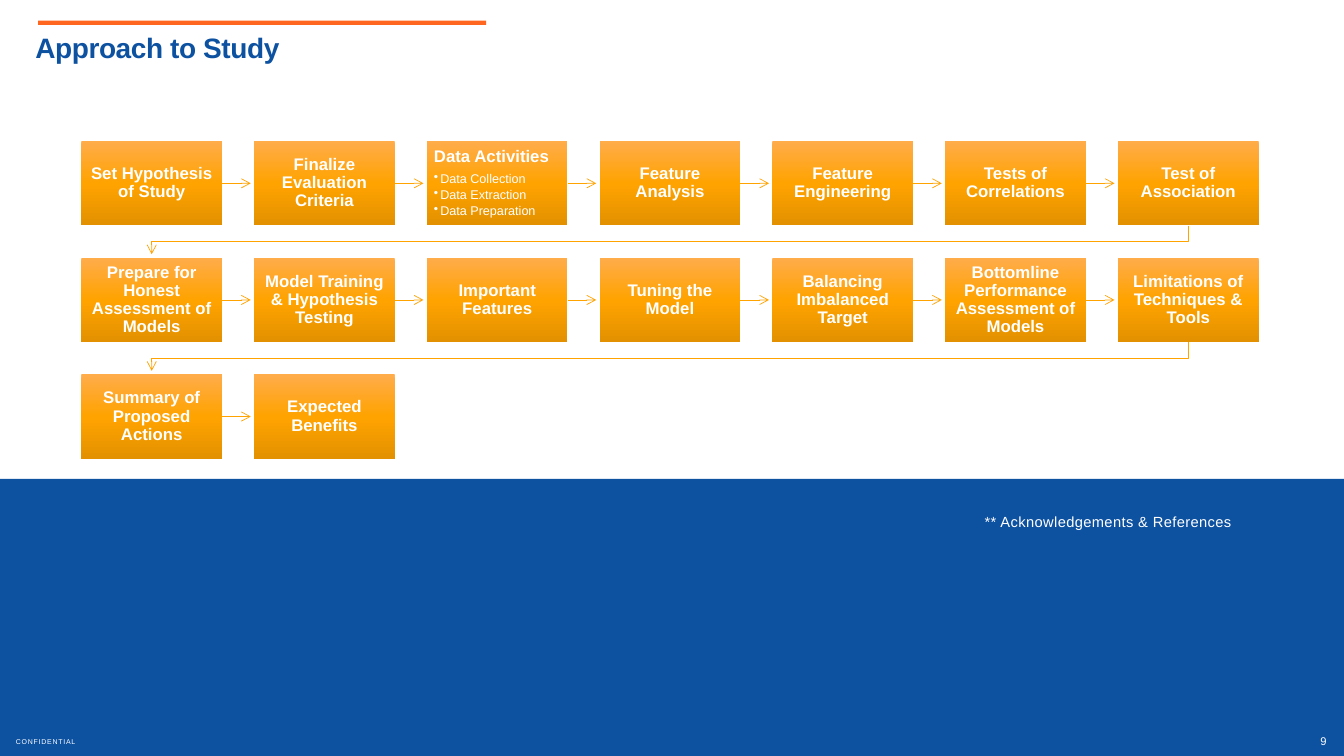
from copy import deepcopy
from dataclasses import dataclass

from lxml import etree
from pptx import Presentation
from pptx.dml.color import RGBColor
from pptx.enum import shapes, text
from pptx.oxml import ns
from pptx.util import Pt

WHITE = RGBColor(0xFF, 0xFF, 0xFF)
BLUE = RGBColor(0x0D, 0x51, 0xA1)
ACCENT = RGBColor(0xFF, 0x67, 0x20)
AMBER = RGBColor(0xFF, 0xA3, 0x00)
GRADIENT = (
    (0, RGBColor(0xFF, 0xAC, 0x4B)),
    (0.5, AMBER),
    (1, RGBColor(0xE3, 0x91, 0x00)),
)

PAGE_WIDTH, PAGE_HEIGHT = 960, 540
COLUMNS = 7
GRID_LEFT, GRID_TOP = 58.2, 100.8
COLUMN_PITCH, ROW_PITCH = 123.4, 83.3
STEP_WIDTH, STEP_HEIGHT = 100.4, 60.3
ARROW_GAP = 2.5
BULLET_INDENT = 4.5

STEP_FRAME = {
    "margin_left": Pt(5), "margin_right": Pt(5),
    "margin_top": Pt(5), "margin_bottom": Pt(5), "word_wrap": True,
}
HEADING_FONT = {"size": Pt(12), "bold": True}
BULLET_FONT = {"size": Pt(9), "bold": False}


@dataclass(frozen=True)
class Step:
    heading: str
    bullets: tuple[str, ...] = ()


@dataclass(frozen=True)
class Label:
    wording: str
    left: float
    top: float
    width: float
    height: float
    size: float
    spacing: float = 0
    align: text.PP_ALIGN = text.PP_ALIGN.LEFT


STEPS = (
    Step("Set Hypothesis of Study"),
    Step("Finalize Evaluation Criteria"),
    Step("Data Activities", ("Data Collection", "Data Extraction", "Data Preparation")),
    Step("Feature Analysis"),
    Step("Feature Engineering"),
    Step("Tests of Correlations"),
    Step("Test of Association"),
    Step("Prepare for Honest Assessment of Models"),
    Step("Model Training & Hypothesis Testing"),
    Step("Important Features"),
    Step("Tuning the Model"),
    Step("Balancing Imbalanced Target"),
    Step("Bottomline Performance Assessment of Models"),
    Step("Limitations of Techniques & Tools"),
    Step("Summary of Proposed Actions"),
    Step("Expected Benefits"),
)

LABELS = (
    Label("CONFIDENTIAL", 4.3, 523.4, 453, 20, 5, 0.5),
    Label("9", 908.6, 521.3, 46, 21, 8, align=text.PP_ALIGN.RIGHT),
    Label("** Acknowledgements & References", 696.2, 362.9, 212.4, 29.5, 10.5, 0.3),
)


def apply_format(target, values: dict) -> None:
    for name, value in values.items():
        setattr(target, name, value)


def write_span(para, wording: str, font: dict, color: RGBColor = WHITE,
               spacing: float = 0) -> None:
    """Add a run; spacing is the letter spacing in points."""
    span = para.add_run()
    span.text = wording
    apply_format(span.font, {"name": "Arial", **font})
    span.font.color.rgb = color
    if spacing:
        span.font._element.set("spc", str(round(spacing * 100)))


def draw_bar(page, left: float, top: float, width: float, height: float,
             color: RGBColor) -> None:
    bar = page.shapes.add_shape(shapes.MSO_SHAPE.RECTANGLE,
                                Pt(left), Pt(top), Pt(width), Pt(height))
    bar.shadow.inherit = False
    bar.fill.solid()
    bar.fill.fore_color.rgb = color
    bar.line.fill.background()


def draw_title(page, wording: str) -> None:
    title = page.shapes.title
    apply_format(title, {"left": Pt(18), "top": Pt(18), "width": Pt(910), "height": Pt(44.6)})
    apply_format(title.text_frame, {
        "vertical_anchor": text.MSO_ANCHOR.TOP, "auto_size": text.MSO_AUTO_SIZE.NONE,
        "word_wrap": True,
    })
    para = title.text_frame.paragraphs[0]
    para.alignment = text.PP_ALIGN.LEFT
    write_span(para, wording, {"size": Pt(20), "bold": True}, BLUE, -0.3)


def draw_label(page, label: Label) -> None:
    box = page.shapes.add_textbox(Pt(label.left), Pt(label.top),
                                  Pt(label.width), Pt(label.height))
    box.text_frame.word_wrap = True
    para = box.text_frame.paragraphs[0]
    para.alignment = label.align
    write_span(para, label.wording, {"size": Pt(label.size)}, spacing=label.spacing)


def fill_gradient(box) -> None:
    box.fill.gradient()
    box.fill.gradient_angle = 270
    stop_list = box._element.spPr.find(".//" + ns.qn("a:gsLst"))
    stop_list.append(deepcopy(stop_list[0]))
    for stop, (position, color) in zip(box.fill.gradient_stops, GRADIENT):
        stop.position = position
        stop.color.rgb = color


def add_bullet(para) -> None:
    properties = para._p.get_or_add_pPr()
    properties.set("marL", str(Pt(BULLET_INDENT)))
    properties.set("indent", str(-Pt(BULLET_INDENT)))
    etree.SubElement(properties, ns.qn("a:buChar")).set("char", "•")


def draw_step(page, step: Step, left: float, top: float) -> None:
    box = page.shapes.add_shape(shapes.MSO_SHAPE.RECTANGLE, Pt(left), Pt(top),
                                Pt(STEP_WIDTH), Pt(STEP_HEIGHT))
    box.shadow.inherit = False
    box.line.fill.background()
    fill_gradient(box)

    frame = box.text_frame
    apply_format(frame, STEP_FRAME)
    frame.vertical_anchor = text.MSO_ANCHOR.TOP if step.bullets else text.MSO_ANCHOR.MIDDLE
    para = frame.paragraphs[0]
    apply_format(para, {
        "alignment": text.PP_ALIGN.LEFT if step.bullets else text.PP_ALIGN.CENTER,
        "line_spacing": 0.9, "space_after": Pt(4.8),
    })
    write_span(para, step.heading, HEADING_FONT)
    for bullet in step.bullets:
        para = frame.add_paragraph()
        apply_format(para, {"alignment": text.PP_ALIGN.LEFT, "level": 1,
                            "line_spacing": 0.9, "space_after": Pt(1.6)})
        add_bullet(para)
        write_span(para, bullet, BULLET_FONT)


def style_arrow(arrow) -> None:
    arrow.line.color.rgb = AMBER
    arrow.line.width = Pt(0.5)
    outline = arrow._element.spPr.find(ns.qn("a:ln"))
    etree.SubElement(outline, ns.qn("a:tailEnd")).set("type", "arrow")


def draw_next_arrow(page, left: float, top: float) -> None:
    """Join a step to the one on its right."""
    start, middle = left + STEP_WIDTH, top + STEP_HEIGHT / 2
    end = left + COLUMN_PITCH - ARROW_GAP
    arrow = page.shapes.add_connector(shapes.MSO_CONNECTOR.STRAIGHT,
                                      Pt(start), Pt(middle), Pt(end), Pt(middle))
    style_arrow(arrow)
    etree.SubElement(arrow._element.spPr, ns.qn("a:effectLst"))


def draw_return_arrow(page, left: float, top: float) -> None:
    """Join the last step of a row to the first step of the next row."""
    start = Pt(left + STEP_WIDTH / 2)
    end = Pt(GRID_LEFT + STEP_WIDTH / 2)
    bottom = top + STEP_HEIGHT
    turn = Pt((bottom + top + ROW_PITCH) / 2)
    builder = page.shapes.build_freeform(start, Pt(bottom))
    builder.add_line_segments(
        [(start, turn), (end, turn), (end, Pt(top + ROW_PITCH - ARROW_GAP))], close=False)
    arrow = builder.convert_to_shape()
    arrow.fill.background()
    style_arrow(arrow)
    arrow.shadow.inherit = False


def draw_flow(page) -> None:
    for index, step in enumerate(STEPS):
        row, column = divmod(index, COLUMNS)
        left = GRID_LEFT + column * COLUMN_PITCH
        top = GRID_TOP + row * ROW_PITCH
        if index < len(STEPS) - 1:
            draw_arrow = draw_return_arrow if column == COLUMNS - 1 else draw_next_arrow
            draw_arrow(page, left, top)
        draw_step(page, step, left, top)


def main() -> None:
    deck = Presentation()
    deck.slide_width, deck.slide_height = Pt(PAGE_WIDTH), Pt(PAGE_HEIGHT)
    page = deck.slides.add_slide(deck.slide_layouts[5])
    draw_bar(page, 0, 342, PAGE_WIDTH, PAGE_HEIGHT - 342, BLUE)
    draw_bar(page, 27.2, 14.8, 320, 3, ACCENT)
    draw_title(page, "Approach to Study")
    for label in LABELS:
        draw_label(page, label)
    draw_flow(page)
    deck.save("out.pptx")


if __name__ == "__main__":
    main()
